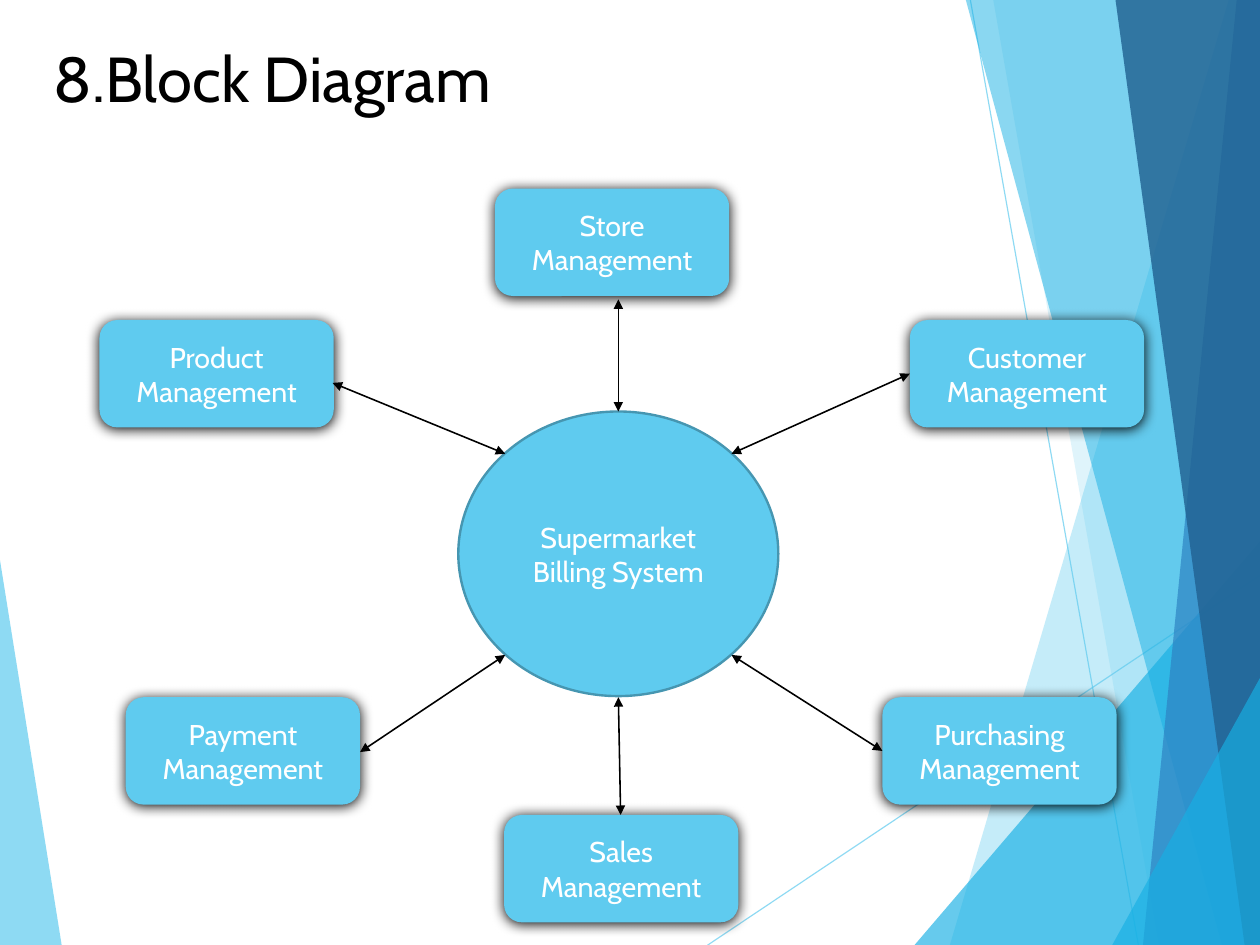
from lxml.etree import SubElement
from pptx import Presentation
from pptx.dml.color import RGBColor
from pptx.enum.shapes import MSO_CONNECTOR as CONN, MSO_SHAPE as SHAPE
from pptx.enum.text import MSO_ANCHOR as ANCHOR, MSO_AUTO_SIZE as FIT, PP_ALIGN as ALIGN
from pptx.oxml.ns import qn
from pptx.util import Cm, Inches, Pt

W, H = 11.03, 8.27  # right and bottom edges reached by the background
FONT = "Cabin"
BOX_W, BOX_H = 2.05, 0.94
COLORS = {name: RGBColor.from_string(value) for name, value in {
    "sky": "5FCBEF", "cyan": "17B0E4", "blue": "2E83C3", "navy": "226292",
    "outline": "4696B1", "black": "000000", "white": "FFFFFF"}.items()}


def add_xml(parent, tag, **attrs):
    return SubElement(parent, qn(tag), {k: str(v) for k, v in attrs.items()})


def set_text(sp, text, size=18, color="white", align=ALIGN.CENTER,
             anchor=ANCHOR.MIDDLE, before=0):
    tf = sp.text_frame
    tf.word_wrap = True
    tf.auto_size = FIT.NONE
    tf.vertical_anchor = anchor
    p = tf.paragraphs[0]
    p.alignment = align
    p.space_before = Pt(before)
    r = p.add_run()
    r.text = text
    r.font.name = FONT
    r.font.size = Pt(size)
    r.font.color.rgb = COLORS[color]


# Slide of 28 by 21 cm
prs = Presentation()
prs.slide_width, prs.slide_height = Cm(28), Cm(21)
s = prs.slides.add_slide(prs.slide_layouts[5])

# Title
title = s.shapes.title
title.left, title.top = Inches(0.37), Inches(0.29)
title.width, title.height = Inches(5.58), Inches(1.35)
set_text(title, "8.Block Diagram", size=40, color="black", align=ALIGN.LEFT,
         anchor=ANCHOR.TOP, before=11)

# Thin background lines
for ends in [(6.19, H, W, 5.03), (8.49, 0, 9.96, H)]:
    line = s.shapes.add_connector(CONN.STRAIGHT, *map(Inches, ends))
    line.line.width = Pt(0.75)
    line.line.color.rgb = COLORS["sky"]
    spPr = line.element.spPr
    add_xml(spPr.find(".//" + qn("a:srgbClr")), "a:alpha", val=70000)
    add_xml(spPr, "a:effectLst")

# Translucent background facets: colour, opacity in percent, corners
facets = [
    ("sky", 70, [(0, 4.9), (0.54, H), (0, H)]),
    ("sky", 36, [(10.75, 0), (8.31, H), (W, H), (W, 0)]),
    ("sky", 20, [(8.69, 0), (10.14, H), (W, H), (W, 0)]),
    ("cyan", 66, [(8, H), (W, 4.73), (W, H)]),
    ("cyan", 50, [(8.45, 0), (10.69, H), (W, H), (W, 0)]),
    ("blue", 70, [(10.82, 0), (10, H), (W, H), (W, 0)]),
    ("navy", 82, [(9.76, 0), (10.89, H), (W, H), (W, 0)]),
    ("cyan", 66, [(9.73, H), (W, 5.92), (W, H)]),
]
for color, opacity, corners in facets:
    points = [(Inches(x), Inches(y)) for x, y in corners]
    builder = s.shapes.build_freeform(*points[0])
    builder.add_line_segments(points[1:], close=True)
    sp = builder.convert_to_shape()
    sp.shadow.inherit = False
    sp.fill.solid()
    sp.fill.fore_color.rgb = COLORS[color]
    sp.line.fill.background()
    add_xml(sp.element.spPr.find(".//" + qn("a:srgbClr")), "a:alpha", val=opacity * 1000)

# Central system
hub = s.shapes.add_shape(SHAPE.OVAL, Inches(4.01), Inches(3.6), Inches(2.8), Inches(2.49))
hub.shadow.inherit = False
hub.fill.solid()
hub.fill.fore_color.rgb = COLORS["sky"]
hub.line.color.rgb = COLORS["outline"]
hub.line.width = Pt(1.5)
set_text(hub, "Supermarket Billing System")

# Modules: name, left and top of the box, arrow end at the box, arrow end at the hub
modules = [
    ("Customer", 7.96, 2.8, (7.96, 3.27), (6.4, 3.97)),
    ("Purchasing", 7.72, 6.1, (7.72, 6.57), (6.4, 5.73)),
    ("Sales", 4.41, 7.13, (5.43, 7.13), (5.41, 6.1)),
    ("Payment", 1.1, 6.1, (3.15, 6.58), (4.42, 5.73)),
    ("Product", 0.87, 2.8, (2.91, 3.35), (4.42, 3.97)),
    ("Store", 4.33, 1.65, (5.41, 2.62), (5.41, 3.6)),
]
for name, left, top, start, end in modules:
    box = s.shapes.add_shape(SHAPE.ROUNDED_RECTANGLE, Inches(left), Inches(top),
                             Inches(BOX_W), Inches(BOX_H))
    box.fill.solid()
    box.fill.fore_color.rgb = COLORS["sky"]
    box.line.fill.background()
    box.shadow.inherit = False
    shadow = add_xml(box.element.spPr.find(qn("a:effectLst")), "a:outerShdw",
                     blurRad=Pt(8.5), dist=Pt(1), dir=90 * 60000, rotWithShape=0)
    add_xml(shadow, "a:srgbClr", val=COLORS["black"])
    set_text(box, f"{name} Management")

    arrow = s.shapes.add_connector(CONN.STRAIGHT, *map(Inches, start + end))
    arrow.line.width = Pt(1)
    arrow.line.color.rgb = COLORS["black"]
    spPr = arrow.element.spPr
    for tip in ("a:headEnd", "a:tailEnd"):
        add_xml(spPr.find(qn("a:ln")), tip, type="triangle")
    add_xml(spPr, "a:effectLst")

prs.save("out.pptx")
